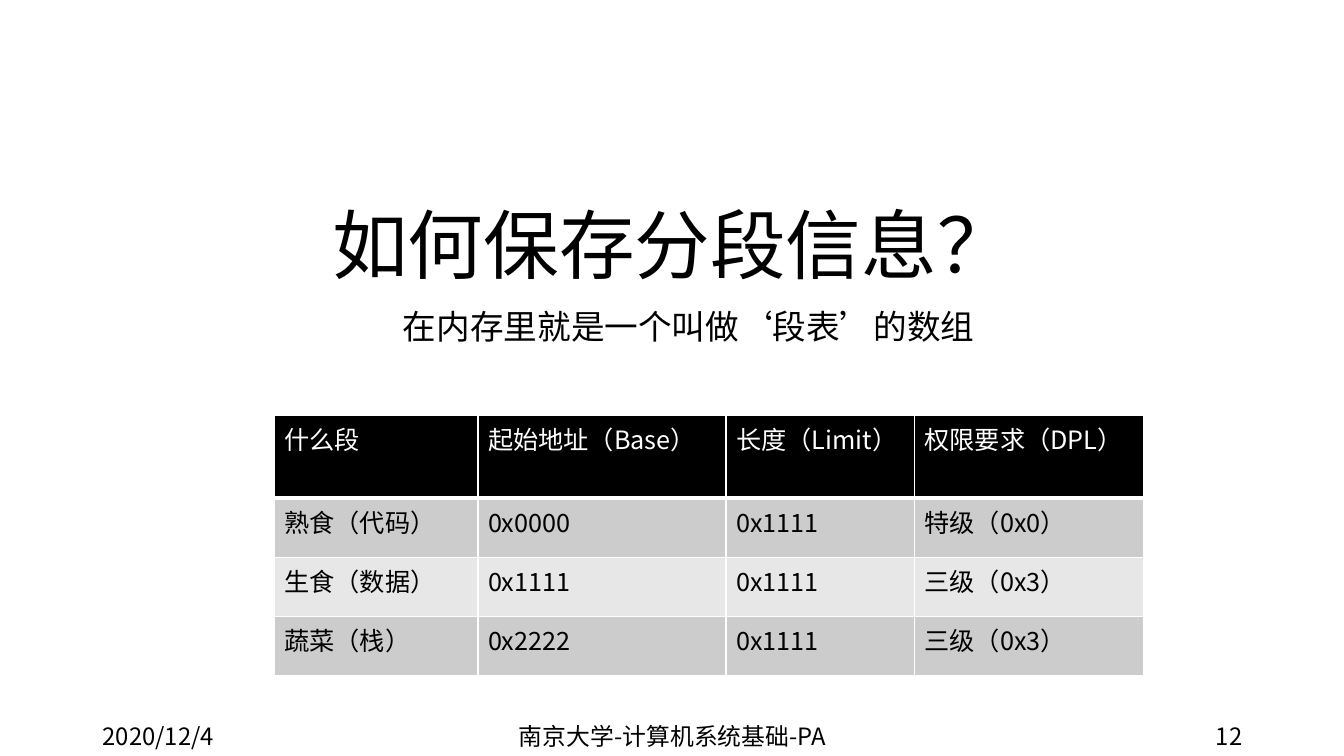
from dataclasses import dataclass

from lxml import etree
from pptx import Presentation, util as u
from pptx.dml.color import RGBColor
from pptx.enum import text
from pptx.oxml import ns


@dataclass(frozen=True)
class Theme:
    font: str = "Noto Sans CJK SC"
    ink: str = "000000"
    paper: str = "FFFFFF"
    odd_row: str = "CCCCCC"
    even_row: str = "E7E7E7"
    title_size: int = 54
    subtitle_size: int = 24
    table_size: int = 18
    footer_size: int = 17
    thin_rule: int = 1
    thick_rule: int = 3


THEME = Theme()
SLIDE_WIDTH, SLIDE_HEIGHT = u.Inches(13.33), u.Inches(7.5)

SEGMENTS = [
    ["什么段", "起始地址（Base）", "长度（Limit）", "权限要求（DPL）"],
    ["熟食（代码）", "0x0000", "0x1111", "特级（0x0）"],
    ["生食（数据）", "0x1111", "0x1111", "三级（0x3）"],
    ["蔬菜（栈）", "0x2222", "0x1111", "三级（0x3）"],
]
COLUMN_PERCENTS = [23.43, 28.54, 21.69, 26.34]
HEADER_PERCENT = 31.9
ROW_PERCENTS = [HEADER_PERCENT] + [(100 - HEADER_PERCENT) / 3] * 3
FOOTER = [
    ("2020/12/4", 6.9, 22.51, text.PP_ALIGN.LEFT),
    ("南京大学-计算机系统基础-PA", 33.16, 33.76, text.PP_ALIGN.CENTER),
    ("12", 70.67, 22.51, text.PP_ALIGN.RIGHT),
]


def percent_box(left, top, width, height):
    return (
        int(SLIDE_WIDTH * left / 100),
        int(SLIDE_HEIGHT * top / 100),
        int(SLIDE_WIDTH * width / 100),
        int(SLIDE_HEIGHT * height / 100),
    )


def write(frame, words, size, color=THEME.ink, align=text.PP_ALIGN.LEFT,
          anchor=text.MSO_ANCHOR.TOP, line_spacing=None):
    frame.word_wrap = True
    frame.vertical_anchor = anchor
    paragraph = frame.paragraphs[0]
    paragraph.alignment = align
    paragraph.line_spacing = line_spacing
    run = paragraph.add_run()
    run.text = words
    run.font.size = u.Pt(size)
    run.font.bold = False
    run.font.color.rgb = RGBColor.from_string(color)
    run.font.name = THEME.font
    east_asian = etree.SubElement(run.font._element, ns.qn("a:ea"))
    east_asian.set("typeface", THEME.font)


def rule_cell(cell, bottom):
    properties = cell._tc.get_or_add_tcPr()
    thin = THEME.thin_rule
    sides = [("lnL", thin), ("lnR", thin), ("lnT", thin), ("lnB", bottom)]
    for position, (side, width) in enumerate(sides):
        line = etree.Element(ns.qn(f"a:{side}"), w=str(u.Pt(width)))
        fill = etree.SubElement(line, ns.qn("a:solidFill"))
        etree.SubElement(fill, ns.qn("a:srgbClr"), val=THEME.paper)
        properties.insert(position, line)


def add_heading(slide, box):
    heading = slide.shapes.title
    heading.left, heading.top, heading.width, heading.height = box
    heading.text_frame.auto_size = text.MSO_AUTO_SIZE.NONE
    write(heading.text_frame, "如何保存分段信息？", THEME.title_size,
          align=text.PP_ALIGN.CENTER, anchor=text.MSO_ANCHOR.BOTTOM, line_spacing=0.9)


def add_subtitle(slide, box):
    subtitle = slide.shapes.add_textbox(*box)
    write(subtitle.text_frame, "在内存里就是一个叫做‘段表’的数组", THEME.subtitle_size,
          align=text.PP_ALIGN.CENTER, line_spacing=0.9)


def add_segment_table(slide, box):
    segments = slide.shapes.add_table(len(SEGMENTS), len(COLUMN_PERCENTS), *box).table
    segments.first_row = segments.horz_banding = False
    for column, percent in zip(segments.columns, COLUMN_PERCENTS):
        column.width = int(box[2] * percent / 100)
    for row, percent in zip(segments.rows, ROW_PERCENTS):
        row.height = int(box[3] * percent / 100)
    for row, entries in enumerate(SEGMENTS):
        is_header = row == 0
        background = THEME.odd_row if row % 2 else THEME.even_row
        for column, entry in enumerate(entries):
            cell = segments.cell(row, column)
            cell.fill.solid()
            cell.fill.fore_color.rgb = RGBColor.from_string(THEME.ink if is_header else background)
            rule_cell(cell, THEME.thick_rule if is_header else THEME.thin_rule)
            write(cell.text_frame, entry, THEME.table_size,
                  color=THEME.paper if is_header else THEME.ink)


def add_footer(slide, top, height):
    for words, left, width, align in FOOTER:
        note = slide.shapes.add_textbox(*percent_box(left, top, width, height))
        write(note.text_frame, words, THEME.footer_size,
              align=align, anchor=text.MSO_ANCHOR.MIDDLE)


def main():
    deck = Presentation()
    deck.slide_width, deck.slide_height = SLIDE_WIDTH, SLIDE_HEIGHT
    slide = deck.slides.add_slide(deck.slide_layouts.get_by_name("Title Only"))
    slide.background.fill.solid()
    slide.background.fill.fore_color.rgb = RGBColor.from_string(THEME.paper)
    add_heading(slide, percent_box(18.15, 4.27, 63.77, 34.8))
    add_subtitle(slide, percent_box(13.28, 40.4, 75.92, 24.13))
    add_segment_table(slide, percent_box(20.41, 54.93, 64.67, 34.4))
    add_footer(slide, 94.67, 5.33)
    deck.save("out.pptx")


if __name__ == "__main__":
    main()
